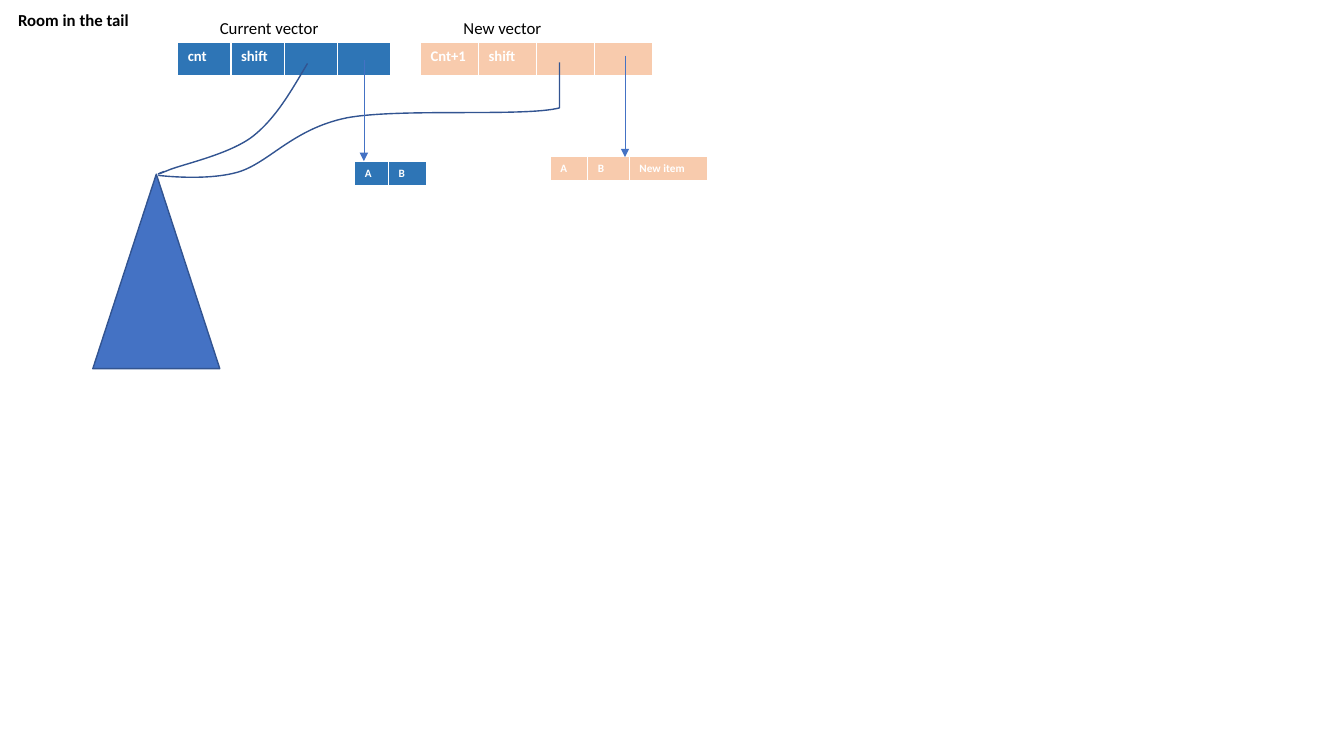
import pptx
import pptx.util
import pptx.dml.color
import pptx.enum.shapes
import pptx.enum.text
import pptx.oxml
import pptx.oxml.xmlchemy
from dataclasses import dataclass
from pptx.util import Cm


@dataclass(frozen=True)
class Theme:
    font: str = "Calibri"
    current: str = "2E75B6"
    new: str = "F8CBAD"
    trie: str = "4472C4"
    outline: str = "325491"
    light: str = "FFFFFF"
    ink: str = "000000"
    label_size: float = 12
    vector_size: float = 10.5
    tail_size: float = 8


theme = Theme()

heading = ("Room in the tail", (0.2, 0.12, 3.76, 0.76))
labels = [
    ("Current vector", (5.29, 0.33, 3.02, 0.76)),
    ("New vector", (11.43, 0.33, 2.51, 0.76)),
]
arrays = [
    (["cnt", "shift", "", ""], (4.48, 1.07), [1.34] * 4, 0.87, theme.vector_size, theme.current),
    (["Cnt+1", "shift", "", ""], (10.6, 1.07), [1.46] * 4, 0.87, theme.vector_size, theme.new),
    (["A", "B"], (8.94, 4.07), [0.85, 0.96], 0.64, theme.tail_size, theme.current),
    (["A", "B", "New item"], (13.87, 3.95), [0.94, 1.05, 1.97], 0.64, theme.tail_size, theme.new),
]
trie_box = (2.34, 4.39, 3.2, 4.9)
root_links = [
    ((7.75, 1.6), [
        [(7.34, 2.29), (6.96, 2.97), (6.38, 3.43)],
        [(5.79, 3.89), (4.6, 4.14), (4.24, 4.29)],
        [(3.86, 4.45), (3.99, 4.37), (4.14, 4.32)],
    ]),
    ((14.1, 1.57), [
        [(14.1, 2.72)],
        [(13.21, 2.95), (10.08, 2.72), (8.74, 2.97)],
        [(7.37, 3.25), (6.78, 4.11), (5.99, 4.34)],
        [(5.18, 4.57), (3.99, 4.42), (3.99, 4.42)],
    ]),
]
tail_links = [(9.17, 1.52, 4.06), (15.75, 1.4, 3.96)]


def rgb(color):
    return pptx.dml.color.RGBColor.from_string(color)


def lengths(values):
    return [Cm(value) for value in values]


def write(frame, text, size=theme.label_size, color=theme.ink, bold=False, wrap=True):
    frame.word_wrap = wrap
    frame.vertical_anchor = pptx.enum.text.MSO_ANCHOR.TOP
    line = frame.paragraphs[0]
    line.alignment = pptx.enum.text.PP_ALIGN.LEFT
    line.line_spacing = 1.0
    if not text:
        line._p.get_or_add_endParaRPr().set("sz", str(int(size * 100)))
        return
    run = line.add_run()
    run.text = text
    run.font.name = theme.font
    run.font.size = pptx.util.Pt(size)
    run.font.bold = bold
    run.font.color.rgb = rgb(color)


def add_xml(parent, xml):
    namespace = 'xmlns:a="http://schemas.openxmlformats.org/drawingml/2006/main"'
    parent.append(pptx.oxml.parse_xml(xml.replace(" ", f" {namespace} ", 1)))


def draw_array(items, corner, widths, height, size, color):
    table = slide.shapes.add_table(1, len(items), *lengths((*corner, sum(widths), height))).table
    table.rows[0].height = Cm(height)
    for column, width in zip(table.columns, widths):
        column.width = Cm(width)
    for cell, item in zip(table.rows[0].cells, items):
        write(cell.text_frame, item, size=size, color=theme.light, bold=True)
        for side, points in zip("LRTB", (1, 1, 1, 3)):
            add_xml(cell._tc.get_or_add_tcPr(),
                    f'<a:ln{side} w="{points * 12700}"><a:solidFill>'
                    f'<a:srgbClr val="{theme.light}"/></a:solidFill></a:ln{side}>')
        cell.fill.solid()
        cell.fill.fore_color.rgb = rgb(color)


def outline(shape, color=theme.outline, width=1):
    shape.line.color.rgb = rgb(color)
    shape.line.width = pptx.util.Pt(width)


def draw_root_link(start, segments):
    builder = slide.shapes.build_freeform(*lengths(start))
    for segment in segments:
        builder.add_line_segments([lengths(point) for point in segment], close=False)
    link = builder.convert_to_shape()
    link.shadow.inherit = False
    link.fill.background()
    outline(link)
    steps = iter(link._element.xpath(".//a:lnTo"))
    for segment in segments:
        pieces = [next(steps) for _ in segment]
        if len(pieces) == 3:
            curve = pptx.oxml.xmlchemy.OxmlElement("a:cubicBezTo")
            pieces[0].addprevious(curve)
            for piece in pieces:
                curve.append(piece[0])
                piece.getparent().remove(piece)


def draw_tail_link(x, top, bottom):
    link = slide.shapes.add_connector(
        pptx.enum.shapes.MSO_CONNECTOR.STRAIGHT, *lengths((x, top, x, bottom)))
    outline(link, color=theme.trie, width=0.5)
    add_xml(link.line._get_or_add_ln(), '<a:tailEnd type="triangle"/>')
    add_xml(link._element.spPr, '<a:effectLst />')


deck = pptx.Presentation()
deck.slide_width, deck.slide_height = Cm(33.87), Cm(19.05)
slide = deck.slides.add_slide(deck.slide_layouts[5])

title = slide.shapes.title
title.left, title.top, title.width, title.height = lengths(heading[1])
write(title.text_frame, heading[0], bold=True)
title.text_frame.auto_size = pptx.enum.text.MSO_AUTO_SIZE.NONE

for array in arrays:
    draw_array(*array)
for label, box in labels:
    write(slide.shapes.add_textbox(*lengths(box)).text_frame, label, wrap=False)

trie = slide.shapes.add_shape(
    pptx.enum.shapes.MSO_SHAPE.ISOSCELES_TRIANGLE, *lengths(trie_box))
trie.shadow.inherit = False
trie.fill.solid()
trie.fill.fore_color.rgb = rgb(theme.trie)
outline(trie)

for root_link in root_links:
    draw_root_link(*root_link)
for tail_link in tail_links:
    draw_tail_link(*tail_link)

deck.save("out.pptx")
